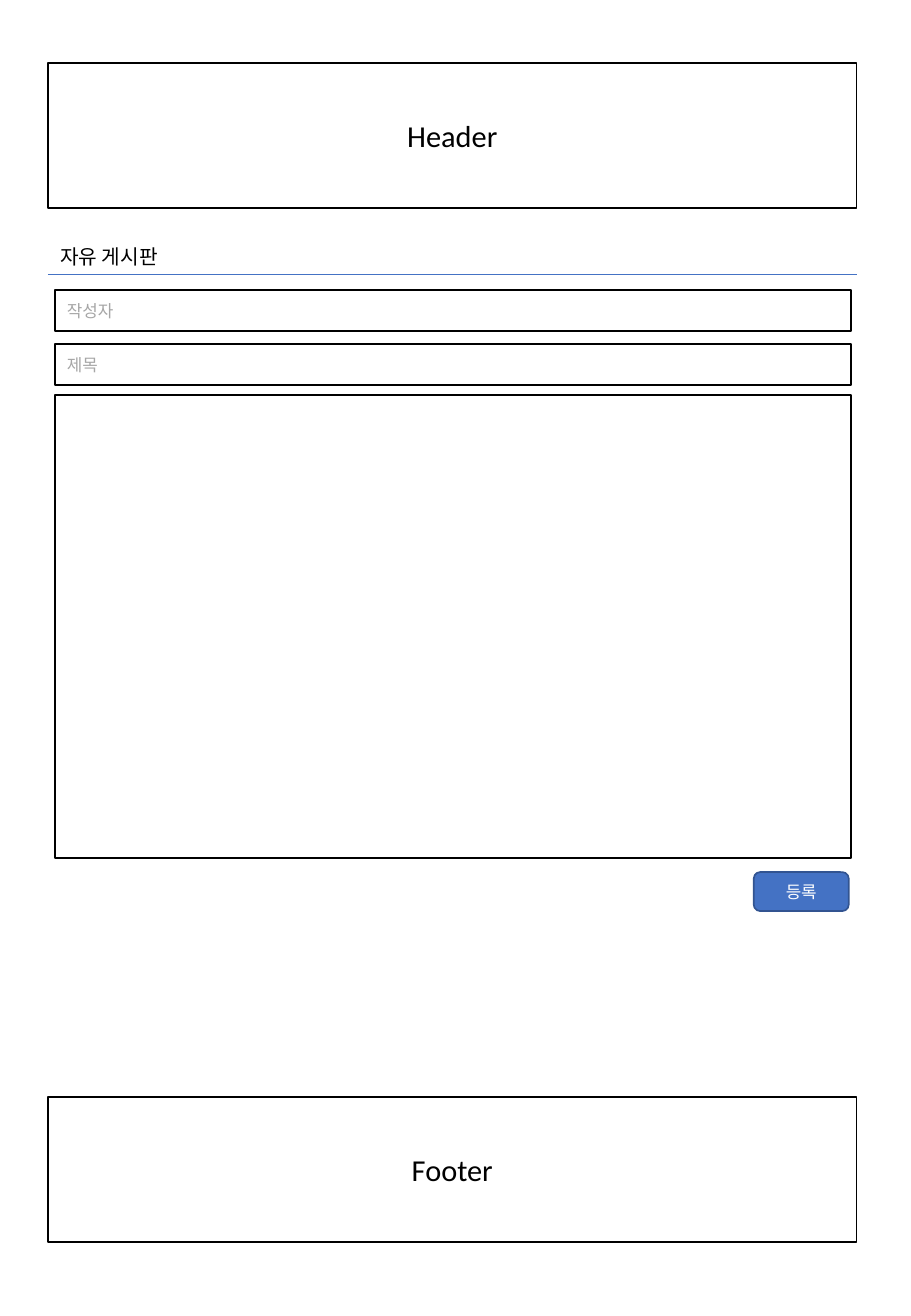
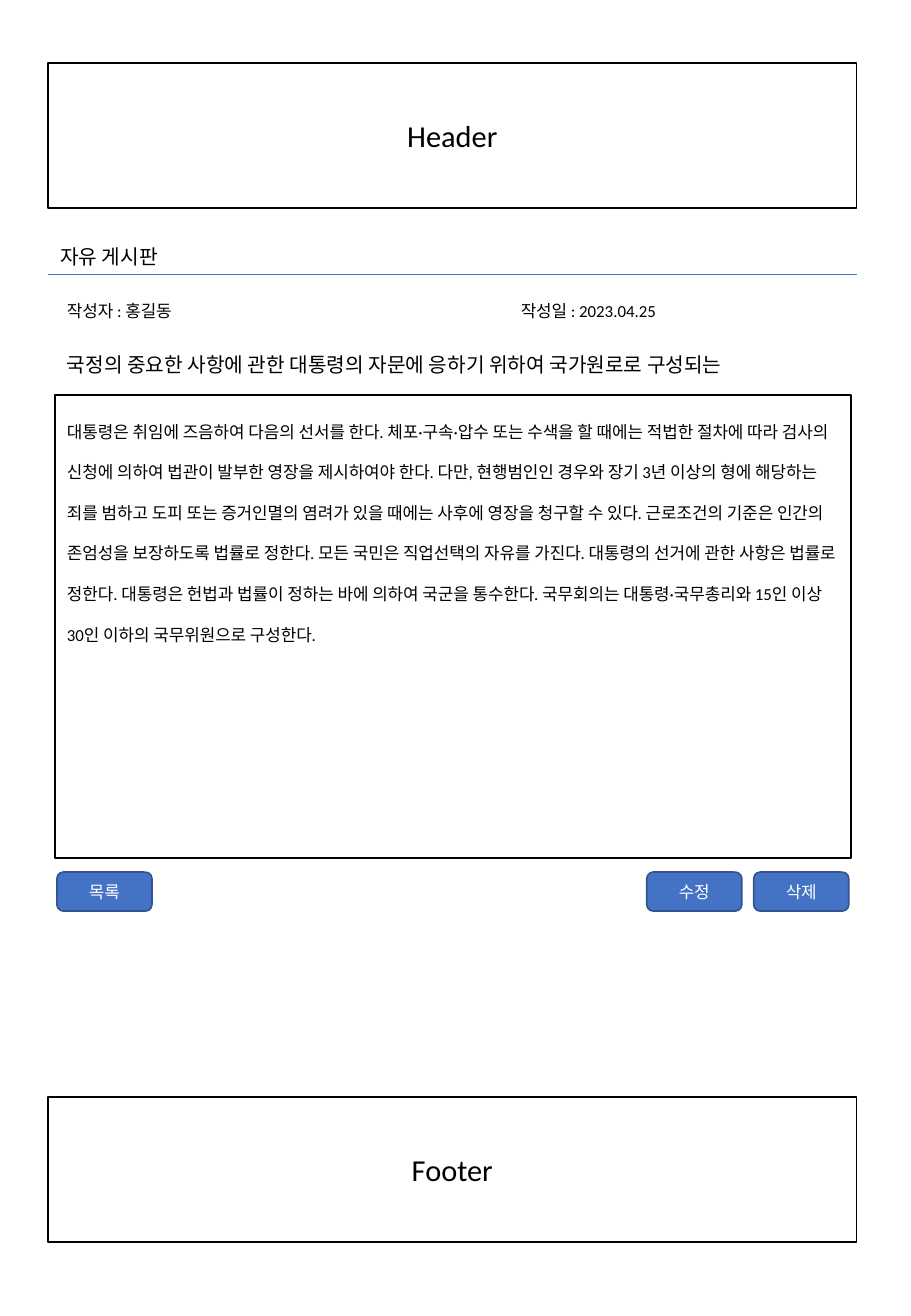
from dataclasses import dataclass

from pptx import Presentation
from pptx import util as u
from pptx.dml.color import RGBColor
from pptx.enum import shapes, text
from pptx.oxml.ns import qn
from lxml import etree

SCALE = u.Inches(1) / 121.5


def px(length):
    return u.Emu(round(length * SCALE))


@dataclass(frozen=True)
class Theme:
    font: str = "Calibri"
    ink: str = "000000"
    paper: str = "FFFFFF"
    hint: str = "A6A6A6"
    accent: str = "4472C4"
    accent_edge: str = "325491"
    band_size: int = 18
    title_size: int = 12
    body_size: int = 10
    outline: float = 1
    rule: float = 0.5


THEME = Theme()
PAGE_LEFT, PAGE_WIDTH = 48, 809
FORM_LEFT, FORM_WIDTH = 55, 796
AUTHOR_TOP, SUBJECT_TOP, FIELD_HEIGHT = 290, 344, 41
BODY_TOP, BODY_HEIGHT = 395, 463
BUTTON_LEFT, BUTTON_RIGHT, BUTTON_STEP = 57, 754, 107


def write(shape, content, size=THEME.body_size, color=THEME.ink,
          align=text.PP_ALIGN.LEFT, anchor=text.MSO_ANCHOR.MIDDLE,
          spacing=None, wrap=True):
    frame = shape.text_frame
    frame.word_wrap = wrap
    frame.vertical_anchor = anchor
    frame.text = content
    paragraph = frame.paragraphs[0]
    paragraph.alignment = align
    paragraph.line_spacing = spacing
    font = paragraph.runs[0].font
    font.name = THEME.font
    font.size = u.Pt(size)
    font.color.rgb = RGBColor.from_string(color)


class Board:
    def __init__(self, presentation, theme):
        self.presentation = presentation
        self.theme = theme
        self.slide = None

    def new_page(self, title):
        layout = self.presentation.slide_layouts.get_by_name("Title Only")
        self.slide = self.presentation.slides.add_slide(layout)
        self.band("Header", 63)
        self.band("Footer", 1097)
        self.rule(274.5)
        self.title(title)

    def title(self, content):
        shape = self.slide.shapes.title
        shape.left, shape.top = px(PAGE_LEFT), px(238)
        shape.width, shape.height = px(131), px(36)
        write(shape, content, size=self.theme.title_size,
              anchor=text.MSO_ANCHOR.TOP, wrap=False)
        shape.text_frame.auto_size = text.MSO_AUTO_SIZE.SHAPE_TO_FIT_TEXT

    def box(self, left, top, width, height, content="", fill=THEME.paper,
            line=THEME.ink, kind=shapes.MSO_SHAPE.RECTANGLE, **text_format):
        shape = self.slide.shapes.add_shape(
            kind, px(left), px(top), px(width), px(height))
        shape.shadow.inherit = False
        shape.fill.solid()
        shape.fill.fore_color.rgb = RGBColor.from_string(fill)
        if line:
            shape.line.color.rgb = RGBColor.from_string(line)
            shape.line.width = u.Pt(self.theme.outline)
        else:
            shape.line.fill.background()
        if content:
            write(shape, content, **text_format)

    def band(self, content, top):
        self.box(PAGE_LEFT, top, PAGE_WIDTH, 145, content,
                 size=self.theme.band_size, align=text.PP_ALIGN.CENTER)

    def field(self, content, top, left=FORM_LEFT, width=FORM_WIDTH, **style):
        self.box(left, top, width, FIELD_HEIGHT, content, **style)

    def body(self, content=""):
        self.box(FORM_LEFT, BODY_TOP, FORM_WIDTH, BODY_HEIGHT, content,
                 anchor=text.MSO_ANCHOR.TOP, spacing=2.0)

    def button(self, content, left):
        self.box(left, 872, 95, 39, content, fill=self.theme.accent,
                 line=self.theme.accent_edge, color=self.theme.paper,
                 kind=shapes.MSO_SHAPE.ROUNDED_RECTANGLE,
                 align=text.PP_ALIGN.CENTER)

    def rule(self, top):
        connector = self.slide.shapes.add_connector(
            shapes.MSO_CONNECTOR.STRAIGHT, px(PAGE_LEFT), px(top),
            px(PAGE_LEFT + PAGE_WIDTH), px(top))
        connector.line.color.rgb = RGBColor.from_string(self.theme.accent)
        connector.line.width = u.Pt(self.theme.rule)
        etree.SubElement(connector._element.spPr, qn("a:effectLst"))


def build_write_page(board):
    board.new_page("자유 게시판")
    for label, top in (("작성자", AUTHOR_TOP), ("제목", SUBJECT_TOP)):
        board.field(label, top, color=board.theme.hint)
    board.body()
    board.button("등록", BUTTON_RIGHT)


def build_read_page(board):
    board.new_page("자유 게시판")
    board.field("작성자 : 홍길동", AUTHOR_TOP, width=365, line=None)
    board.field("작성일 : 2023.04.25", AUTHOR_TOP, left=509, width=342, line=None)
    board.field("국정의 중요한 사항에 관한 대통령의 자문에 응하기 위하여 국가원로로 구성되는",
                SUBJECT_TOP, line=None, size=board.theme.title_size)
    board.body(
        "대통령은 취임에 즈음하여 다음의 선서를 한다. "
        "체포·구속·압수 또는 수색을 할 때에는 적법한 절차에 따라 "
        "검사의 신청에 의하여 법관이 발부한 영장을 제시하여야 한다. "
        "다만, 현행범인인 경우와 장기 3년 이상의 형에 해당하는 죄를 범하고 "
        "도피 또는 증거인멸의 염려가 있을 때에는 사후에 영장을 청구할 수 있다. "
        "근로조건의 기준은 인간의 존엄성을 보장하도록 법률로 정한다. "
        "모든 국민은 직업선택의 자유를 가진다. "
        "대통령의 선거에 관한 사항은 법률로 정한다. "
        "대통령은 헌법과 법률이 정하는 바에 의하여 국군을 통수한다. "
        "국무회의는 대통령·국무총리와 15인 이상 30인 이하의 국무위원으로 구성한다.")
    board.button("목록", BUTTON_LEFT)
    board.button("수정", BUTTON_RIGHT - BUTTON_STEP)
    board.button("삭제", BUTTON_RIGHT)


def main():
    presentation = Presentation()
    presentation.slide_width = u.Inches(7.5)
    presentation.slide_height = u.Inches(10.83)
    board = Board(presentation, THEME)
    build_write_page(board)
    build_read_page(board)
    presentation.save("out.pptx")


main()
